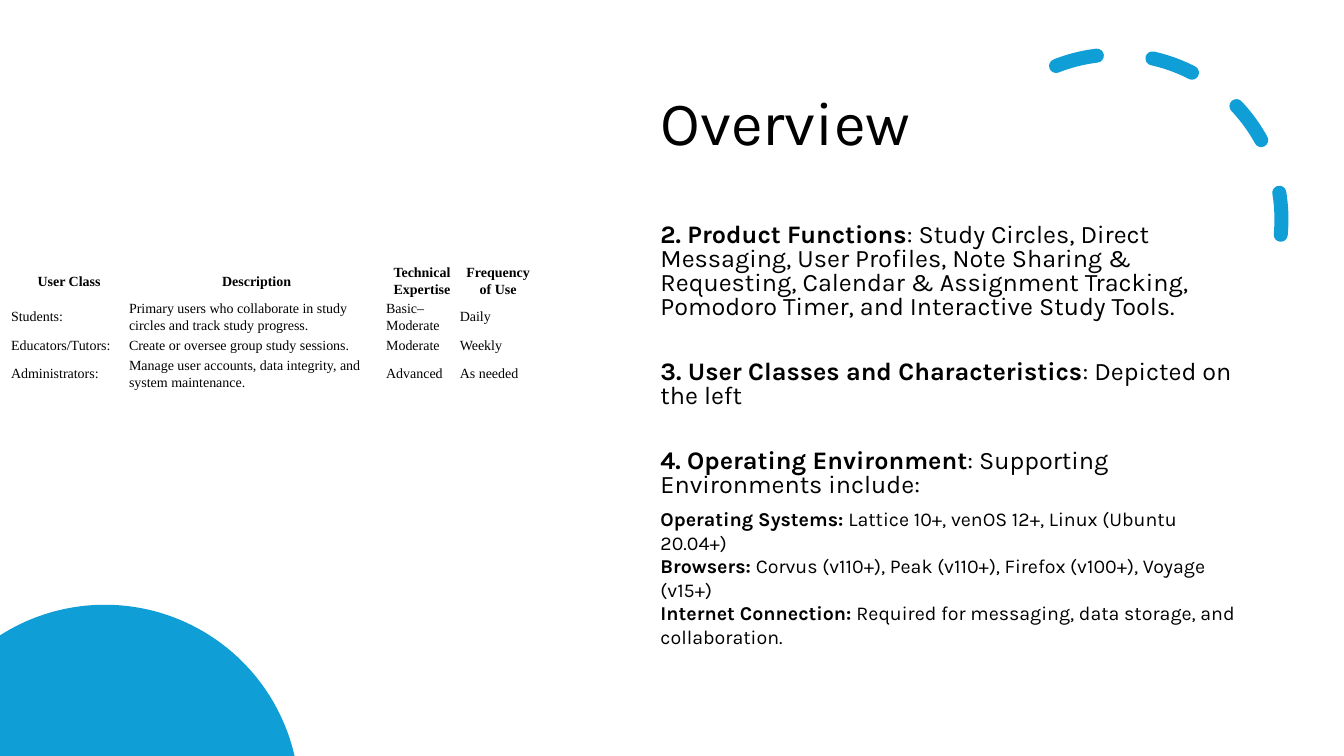
import math
from dataclasses import dataclass

from pptx import Presentation
from pptx.dml.color import RGBColor
from pptx.enum.dml import MSO_LINE
from pptx.enum.shapes import MSO_SHAPE
from pptx.enum.text import MSO_ANCHOR, MSO_AUTO_SIZE, PP_ALIGN
from pptx.oxml.ns import qn
from pptx.util import Emu, Inches, Pt

ARC = MSO_SHAPE.ARC
DASH = MSO_LINE.DASH
TOP, MIDDLE = MSO_ANCHOR.TOP, MSO_ANCHOR.MIDDLE
NO_AUTOFIT = MSO_AUTO_SIZE.NONE
LEFT, CENTER = PP_ALIGN.LEFT, PP_ALIGN.CENTER

COLORS = {"accent": "0F9ED5", "text": "000000"}
SLIDE_FONT, TABLE_FONT = "Karla", "Times New Roman"
SLIDE_WIDTH, SLIDE_HEIGHT = Inches(13.33), Inches(7.5)


@dataclass
class Box:
    """A place on the slide, in percent of its width and height."""
    left: float
    top: float
    width: float
    height: float


@dataclass
class Entry:
    """A bold label with plain text behind it."""
    label: str
    text: str
    size: int = 18
    line_spacing: float = 0.8
    space_after: int = 29


@dataclass
class DetailEntry(Entry):
    size: int = 14
    line_spacing: float = 1.0
    space_after: int = 0


TITLE_BOX = Box(48.39, 6.93, 44.79, 19.33)
BODY_BOX = Box(48.39, 28.93, 44.79, 61.07)
ARC_BOX = Box(70.82, 7.2, 24.53, 43.6)
TABLE_BOX = Box(0.75, 34.8, 39.24, 16.81)

ENTRIES = [
    Entry("2. Product Functions",
          ": Study Circles, Direct Messaging, User Profiles, Note Sharing & Requesting, "
          "Calendar & Assignment Tracking, Pomodoro Timer, and Interactive Study Tools."),
    Entry("3. User Classes and Characteristics", ": Depicted on the left"),
    Entry("4. Operating Environment", ": Supporting Environments include:", space_after=6),
    DetailEntry("Operating Systems:", " Lattice 10+, venOS 12+, Linux (Ubuntu 20.04+)"),
    DetailEntry("Browsers:", " Corvus (v110+), Peak (v110+), Firefox (v100+), Voyage (v15+)"),
    DetailEntry("Internet Connection:",
                " Required for messaging, data storage, and collaboration."),
]

COLUMN_WIDTHS = [8.78, 19.13, 5.48, 5.85]
ROW_HEIGHTS = [4.67, 4.67, 2.8, 4.67]
USER_CLASSES = [
    ["User Class", "Description", "Technical Expertise", "Frequency of Use"],
    ["Students:",
     "Primary users who collaborate in study circles and track study progress.",
     "Basic–Moderate", "Daily"],
    ["Educators/Tutors:", "Create or oversee group study sessions.", "Moderate", "Weekly"],
    ["Administrators:", "Manage user accounts, data integrity, and system maintenance.",
     "Advanced", "As needed"],
]


def across(percent: float) -> Emu:
    return Emu(round(SLIDE_WIDTH * percent / 100))


def down(percent: float) -> Emu:
    return Emu(round(SLIDE_HEIGHT * percent / 100))


def place(box: Box) -> tuple:
    return across(box.left), down(box.top), across(box.width), down(box.height)


def color(name: str) -> RGBColor:
    return RGBColor.from_string(COLORS[name])


def add_run(paragraph, text: str, size: float, font: str = SLIDE_FONT,
            bold: bool = False) -> None:
    run = paragraph.add_run()
    run.text = text
    run.font.name = font
    run.font.size = Pt(size)
    run.font.bold = bold
    run.font.color.rgb = color("text")


def prepare_placeholder(shape, box: Box, anchor):
    shape.left, shape.top, shape.width, shape.height = place(box)
    frame = shape.text_frame
    frame.word_wrap = True
    frame.auto_size = NO_AUTOFIT
    frame.vertical_anchor = anchor
    return frame


def add_dashed_arc(slide) -> None:
    arc = slide.shapes.add_shape(ARC, *place(ARC_BOX))
    arc.shadow.inherit = False
    arc.adjustments[0], arc.adjustments[1] = 144.42, 0
    arc.rotation = 66.1
    arc.fill.background()
    arc.line.color.rgb = color("accent")
    arc.line.width = Pt(10)
    arc.line.dash_style = DASH
    properties = arc._element.spPr
    properties.find(qn("a:xfrm")).set("flipH", "1")
    properties.find(qn("a:ln")).set("cap", "rnd")


def add_corner_circle(slide) -> None:
    """Draw the part of a circle that lies inside the lower left corner."""
    center_x, center_y, radius = across(7.8), down(105.73), across(14.48)
    start = math.pi + math.acos(center_x / radius)
    end = 2 * math.pi - math.asin((center_y - SLIDE_HEIGHT) / radius)
    steps = 90
    angles = [start + (end - start) * step / steps for step in range(steps + 1)]
    points = [(round(center_x + radius * math.cos(angle)),
               round(center_y + radius * math.sin(angle))) for angle in angles]
    builder = slide.shapes.build_freeform(0, SLIDE_HEIGHT)
    builder.add_line_segments(points, close=True)
    circle = builder.convert_to_shape()
    circle.shadow.inherit = False
    circle.fill.solid()
    circle.fill.fore_color.rgb = color("accent")
    circle.line.fill.background()


def fill_title(slide) -> None:
    frame = prepare_placeholder(slide.shapes.title, TITLE_BOX, MIDDLE)
    paragraph = frame.paragraphs[0]
    paragraph.alignment = LEFT
    paragraph.line_spacing = 0.9
    add_run(paragraph, "Overview", 44)


def fill_body(slide) -> None:
    frame = prepare_placeholder(slide.placeholders[1], BODY_BOX, TOP)
    for index, entry in enumerate(ENTRIES):
        paragraph = frame.add_paragraph() if index else frame.paragraphs[0]
        properties = paragraph._p.get_or_add_pPr()
        properties.set("marL", "0")
        properties.set("indent", "0")
        properties.append(properties.makeelement(qn("a:buNone"), {}))
        paragraph.alignment = LEFT
        paragraph.line_spacing = entry.line_spacing
        paragraph.space_before = Pt(0)
        paragraph.space_after = Pt(entry.space_after)
        add_run(paragraph, entry.label, entry.size, bold=True)
        add_run(paragraph, entry.text, entry.size)


def add_user_table(slide) -> None:
    table = slide.shapes.add_table(len(ROW_HEIGHTS), len(COLUMN_WIDTHS),
                                   *place(TABLE_BOX)).table
    table.first_row = table.horz_banding = False
    for column, width in zip(table.columns, COLUMN_WIDTHS):
        column.width = across(width)
    for row_index, (height, texts) in enumerate(zip(ROW_HEIGHTS, USER_CLASSES)):
        table.rows[row_index].height = down(height)
        is_header = row_index == 0
        for column_index, text in enumerate(texts):
            cell = table.cell(row_index, column_index)
            cell.fill.background()
            cell.vertical_anchor = MIDDLE
            cell.margin_left = cell.margin_right = Inches(0.01)
            cell.margin_top = cell.margin_bottom = Inches(0.01)
            paragraph = cell.text_frame.paragraphs[0]
            paragraph.alignment = CENTER if is_header else LEFT
            paragraph.line_spacing = Pt(12)
            add_run(paragraph, text, 10, TABLE_FONT, is_header)


def main() -> None:
    presentation = Presentation()
    presentation.slide_width, presentation.slide_height = SLIDE_WIDTH, SLIDE_HEIGHT
    slide = presentation.slides.add_slide(presentation.slide_layouts[1])
    # Decoration
    add_dashed_arc(slide)
    add_corner_circle(slide)
    # Content
    fill_title(slide)
    fill_body(slide)
    add_user_table(slide)
    presentation.save("out.pptx")


if __name__ == "__main__":
    main()
